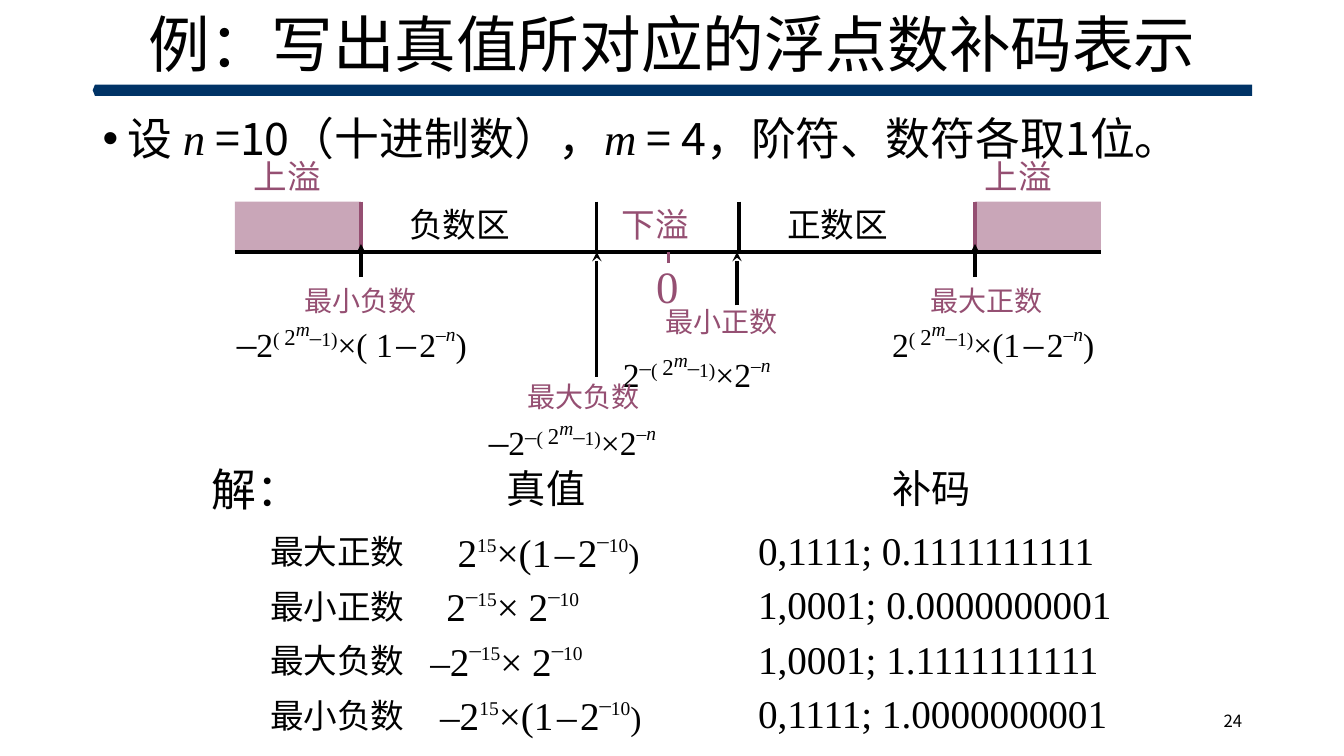
from collections import namedtuple
from dataclasses import dataclass

from lxml.etree import SubElement
from pptx import Presentation
from pptx.dml.color import RGBColor
from pptx.enum.shapes import MSO_CONNECTOR, MSO_SHAPE
from pptx.enum.text import MSO_ANCHOR, MSO_AUTO_SIZE, PP_ALIGN
from pptx.oxml.ns import qn
from pptx.util import Inches, Pt

Box = namedtuple("Box", "left top width height")
Piece = namedtuple("Piece", "text size base italic font", defaults=(None, 0, False, None))


@dataclass(frozen=True)
class Theme:
    black: RGBColor = RGBColor(0, 0, 0)
    plum: RGBColor = RGBColor(0x95, 0x4F, 0x72)
    navy: RGBColor = RGBColor(0, 0x33, 0x66)
    serif: str = "Times New Roman"
    sans: str = "Noto Sans CJK SC"
    title: int = 44
    body: int = 32
    heading: int = 28
    label: int = 24
    caption: int = 20
    number: int = 12
    hair: int = 10


THEME = Theme()

# Reusable formula parts
THIN_MINUS = [Piece(" ", THEME.hair), Piece("–", THEME.heading), Piece(" ", THEME.hair)]
MINUS = [Piece("–", THEME.heading)]
TWO = [Piece("2", THEME.label)]
RAISED_MINUS = [Piece("–", THEME.heading, 30)]
EXPONENT = [Piece("( ", THEME.label, 30), Piece("2", THEME.heading, 30),
            Piece("m", THEME.label, 60, True), *RAISED_MINUS, Piece("1)", THEME.label, 30)]
POWER_N = [Piece("–", THEME.label, 45), Piece("n", THEME.label, 45, True)]
LARGEST_TAIL = THIN_MINUS + TWO + POWER_N + [Piece(")", THEME.label)]
SMALLEST = TWO + RAISED_MINUS + EXPONENT + [Piece("×2", THEME.label)] + POWER_N
POWER_15 = [Piece("15", THEME.label, 45)]
POWER_MINUS = [Piece("–", THEME.heading, 47)]
POWER_MINUS_10 = POWER_MINUS + [Piece("10", THEME.label, 45)]
LARGEST_VALUE = (POWER_15 + [Piece("×(1", THEME.heading)] + THIN_MINUS
                 + [Piece("2", THEME.heading)] + POWER_MINUS_10 + [Piece(")", THEME.label)])
SMALLEST_VALUE = POWER_MINUS + POWER_15 + [Piece("× 2", THEME.heading)] + POWER_MINUS_10


def format_run(run, size, color, font):
    run.font.name = font
    run.font.size = Pt(size)
    run.font.color.rgb = color
    SubElement(run.font._element, qn("a:ea")).set("typeface", THEME.sans)


def add_text(slide, box, content, size=THEME.label, color=THEME.black, font=THEME.serif,
             align=PP_ALIGN.LEFT, anchor=MSO_ANCHOR.TOP, wrap=False):
    """Place a string or a list of pieces and return its paragraph."""
    shape = slide.shapes.add_textbox(*map(Inches, box))
    frame = shape.text_frame
    frame.word_wrap = wrap
    frame.auto_size = MSO_AUTO_SIZE.NONE if wrap else MSO_AUTO_SIZE.SHAPE_TO_FIT_TEXT
    frame.vertical_anchor = anchor
    paragraph = frame.paragraphs[0]
    paragraph.alignment = align
    for piece in [Piece(content)] if isinstance(content, str) else content:
        run = paragraph.add_run()
        run.text = piece.text
        format_run(run, piece.size or size, color, piece.font or font)
        run.font.italic = piece.italic
        if piece.base:
            run.font._element.set("baseline", str(piece.base * 1000))
    return paragraph


def add_line(slide, start, end, color=THEME.black, width=2.25, arrow=False):
    line = slide.shapes.add_connector(MSO_CONNECTOR.STRAIGHT, *map(Inches, (*start, *end)))
    line.line.color.rgb = color
    line.line.width = Pt(width)
    if arrow:
        SubElement(line.line._get_or_add_ln(), qn("a:tailEnd")).set("type", "stealth")
    SubElement(line._element.spPr, qn("a:effectLst"))


def add_block(slide, kind, box, color):
    shape = slide.shapes.add_shape(kind, *map(Inches, box))
    shape.shadow.inherit = False
    shape.fill.solid()
    shape.fill.fore_color.rgb = color
    shape.line.fill.background()
    return shape


def build_header(slide, box):
    # Rule, title and page number
    rule = add_block(slide, MSO_SHAPE.PENTAGON,
                     Box(box.left, box.top + 0.81, box.width, 0.11), THEME.navy)
    rule.adjustments[0] = 0.2
    rule._element.spPr.xfrm.set("flipH", "1")
    title = add_text(slide, box, "例：写出真值所对应的浮点数补码表示", THEME.title,
                     font=THEME.sans, align=PP_ALIGN.CENTER, anchor=MSO_ANCHOR.MIDDLE, wrap=True)
    title.line_spacing = 0.9
    add_text(slide, Box(box.left + box.width - 3, 6.95, 3, 0.4), "24", THEME.number,
             font=THEME.sans, align=PP_ALIGN.RIGHT, anchor=MSO_ANCHOR.MIDDLE, wrap=True)


def build_premise(slide, box):
    # Bulleted statement of the problem
    pieces = [Piece("设 "), Piece("n", italic=True, font=THEME.serif),
              Piece(" =10（十进制数），"), Piece("m", italic=True, font=THEME.serif),
              Piece(" = 4，阶符、数符各取1位。")]
    paragraph = add_text(slide, box, pieces, THEME.body, font=THEME.sans, wrap=True)
    properties = paragraph._p.get_or_add_pPr()
    properties.set("marL", str(Inches(0.25)))
    properties.set("indent", str(Inches(-0.25)))
    SubElement(properties, qn("a:buFont")).set("typeface", "Arial")
    SubElement(properties, qn("a:buChar")).set("char", "•")


def build_number_line(slide, box):
    left, top, width, _ = box
    axis = top + 1
    zone = 1.25
    minimum, maximum = left + zone, left + width - zone
    near_negative, near_positive = left + 3.59, left + 5

    # Overflow zones and their borders
    for zone_left, border, label_left in ((left, minimum, left + 0.09),
                                          (maximum, maximum, maximum)):
        add_line(slide, (border, axis - 0.5), (border, axis), THEME.plum, 3)
        block = add_block(slide, MSO_SHAPE.RECTANGLE,
                          Box(zone_left, axis - 0.5, zone, 0.5), THEME.plum)
        color = block.fill._xPr.find(qn("a:solidFill"))[0]
        SubElement(color, qn("a:alpha")).set("val", "50000")
        add_text(slide, Box(label_left, top, 0.87, 0.5), "上溢", color=THEME.plum)

    # Axis, underflow borders and zero
    add_line(slide, (left, axis), (left + width, axis))
    for border in (near_negative, near_positive):
        add_line(slide, (border, axis - 0.5), (border, axis))
    add_line(slide, (left + 4.3, axis + 0.11), (left + 4.3, axis), THEME.plum)
    add_text(slide, Box(left + 4.08, axis + 0.02, 0.42, 0.63), "0", THEME.body, THEME.plum)

    # Zone names
    for offset, name_width, name, color in ((1.63, 1.21, "负数区", THEME.black),
                                            (3.74, 0.87, "下溢", THEME.plum),
                                            (5.38, 1.21, "正数区", THEME.black)):
        add_text(slide, Box(left + offset, axis - 0.53, name_width, 0.5), name, color=color)

    # Limits: arrow, caption and formula
    limits = (
        ("最小负数", minimum, 0.25, -0.08, 0.59, 0.26, -0.08, 0.6, 2.79,
         MINUS + TWO + EXPONENT + [Piece("×( 1")] + LARGEST_TAIL),
        ("最大正数", maximum, 0.25, -0.08, 6.8, 0.26, 6.42, 0.6, 2.51,
         TWO + EXPONENT + [Piece("×(1")] + LARGEST_TAIL),
        ("最小正数", left + 4.98, 0.53, 0, 4.17, 0.47, 3.75, 0.9, 1.99, SMALLEST),
        ("最大负数", near_negative, 1.24, 0, 2.8, 1.22, 2.42, 1.58, 2.18, MINUS + SMALLEST),
    )
    for (name, arrow_x, tail, tip, name_x, name_y,
         formula_x, formula_y, formula_width, formula) in limits:
        add_line(slide, (arrow_x, axis + tail), (arrow_x, axis + tip), arrow=True)
        add_text(slide, Box(left + name_x, axis + name_y, 1.32, 0.43),
                 name, THEME.caption, THEME.plum)
        add_text(slide, Box(left + formula_x, axis + formula_y, formula_width, 0.57), formula)


def build_solution(slide, box):
    left, top, _, _ = box
    # Headings
    add_text(slide, Box(left, top, 1.09, 0.64), "解：", THEME.body)
    add_text(slide, Box(left + 2.93, top + 0.03, 0.98, 0.57), "真值", THEME.heading)
    add_text(slide, Box(left + 6.75, top + 0.03, 1.42, 0.57), "补码", THEME.heading, wrap=True)

    # Rows: name, true value, complement code
    rows = (
        ("最大正数", 2.44, 2.89, "2", LARGEST_VALUE, "0,1111; 0.1111111111", 3.57),
        ("最小正数", 2.33, 1.8, "2", SMALLEST_VALUE, "1,0001; 0.0000000001", 3.77),
        ("最大负数", 2.17, 1.99, "–2", SMALLEST_VALUE, "1,0001; 1.1111111111", 3.62),
        ("最小负数", 2.17, 3.08, " –2", LARGEST_VALUE, "0,1111; 1.0000000001", 3.7),
    )
    for index, (name, value_x, value_width, lead, value, code, code_width) in enumerate(rows):
        row_top = top + 0.64 + 0.54 * index
        add_text(slide, Box(left + 0.58, row_top + 0.05, 1.56, 0.5), name)
        add_text(slide, Box(left + value_x, row_top, value_width, 0.57),
                 [Piece(lead), *value], THEME.heading, wrap=value is LARGEST_VALUE)
        add_text(slide, Box(left + 5.42, row_top, code_width, 0.57), code, THEME.heading)


def main():
    presentation = Presentation()
    presentation.slide_width = Inches(13.33)
    presentation.slide_height = Inches(7.5)
    slide = presentation.slides.add_slide(presentation.slide_layouts[6])
    build_header(slide, Box(0.92, 0.03, 11.5, 0.89))
    build_premise(slide, Box(0.92, 1.05, 11.5, 5.8))
    build_number_line(slide, Box(2.33, 1.5, 8.59, 3.15))
    build_solution(slide, Box(2, 4.53, 9.2, 2.82))
    presentation.save("out.pptx")


if __name__ == "__main__":
    main()
